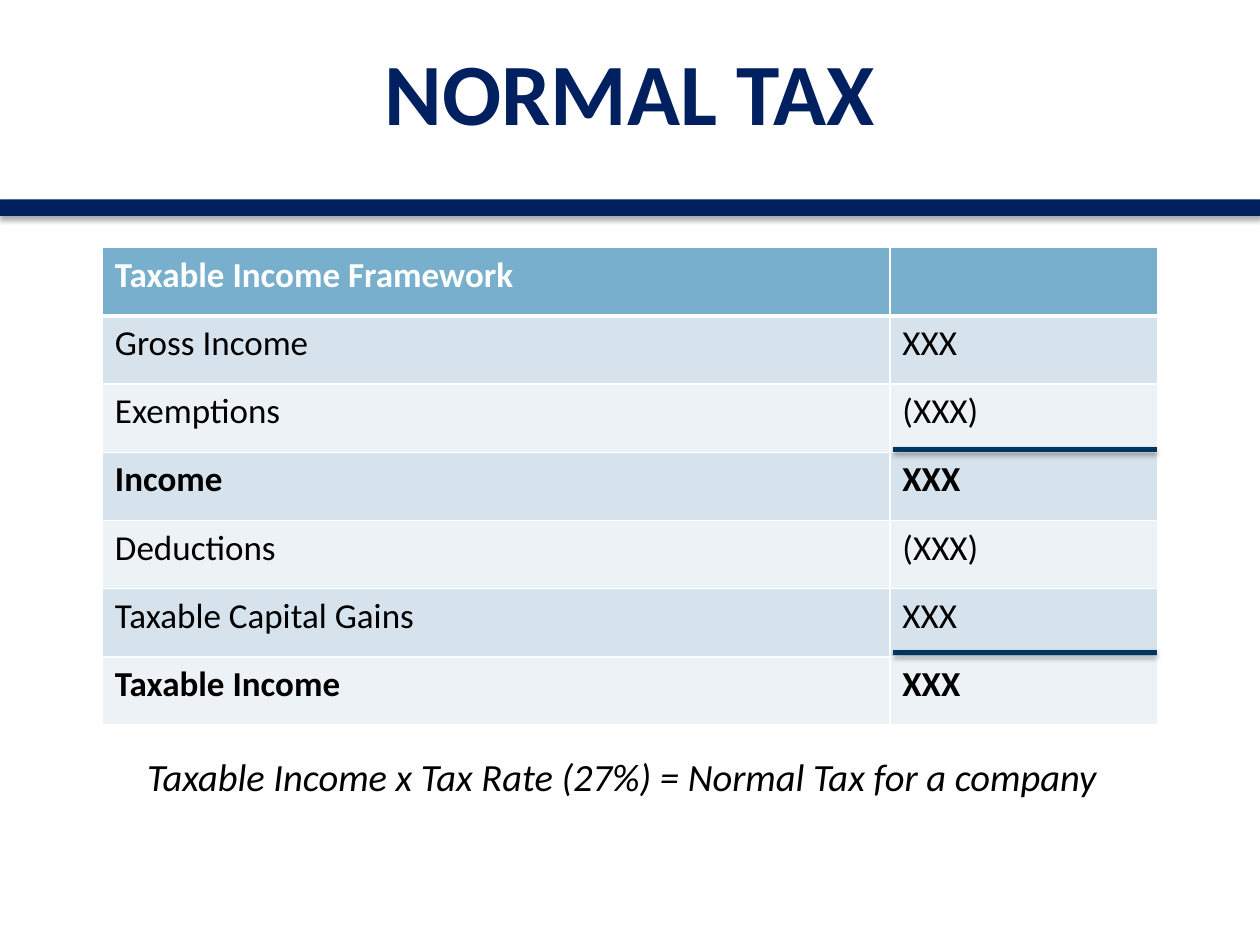
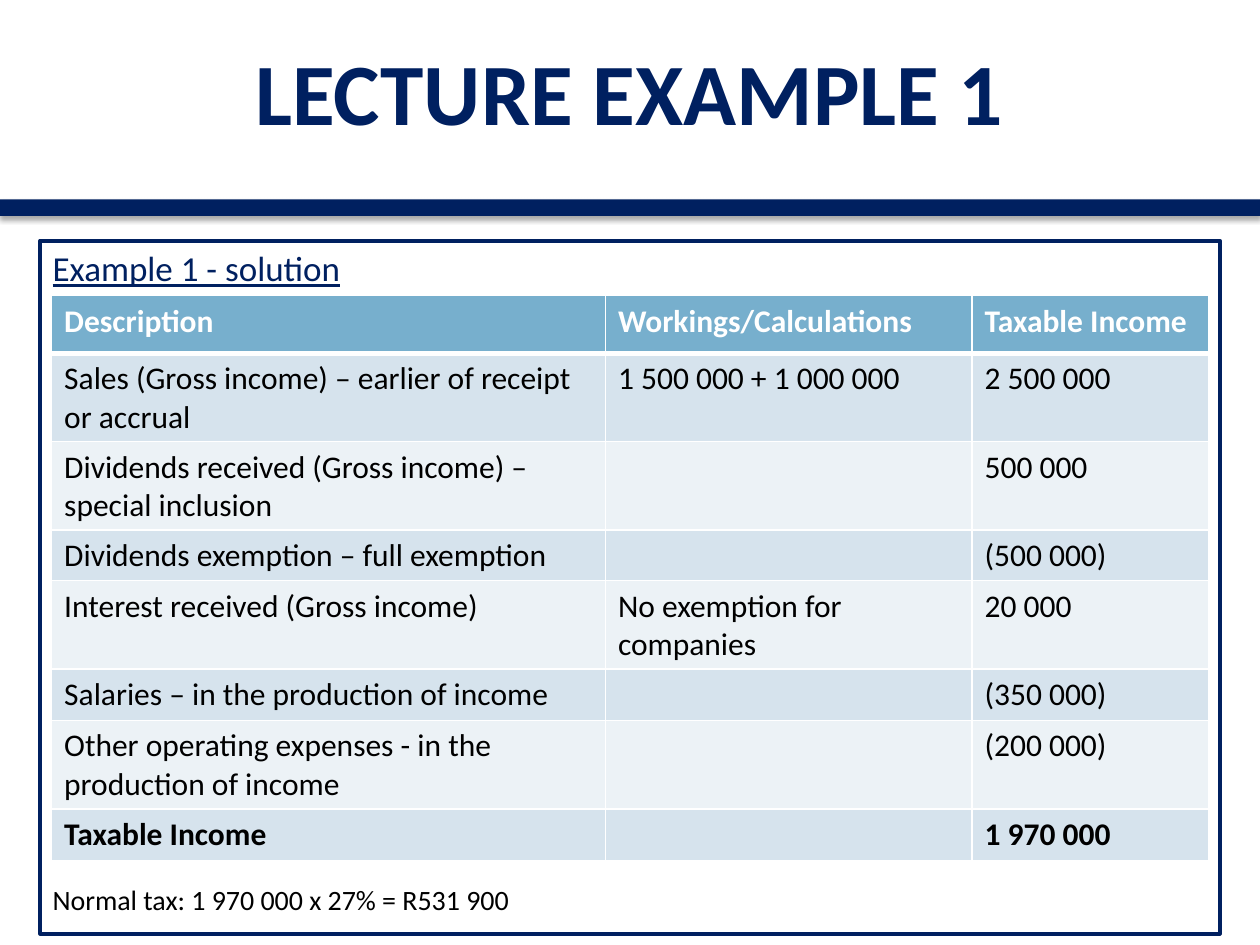
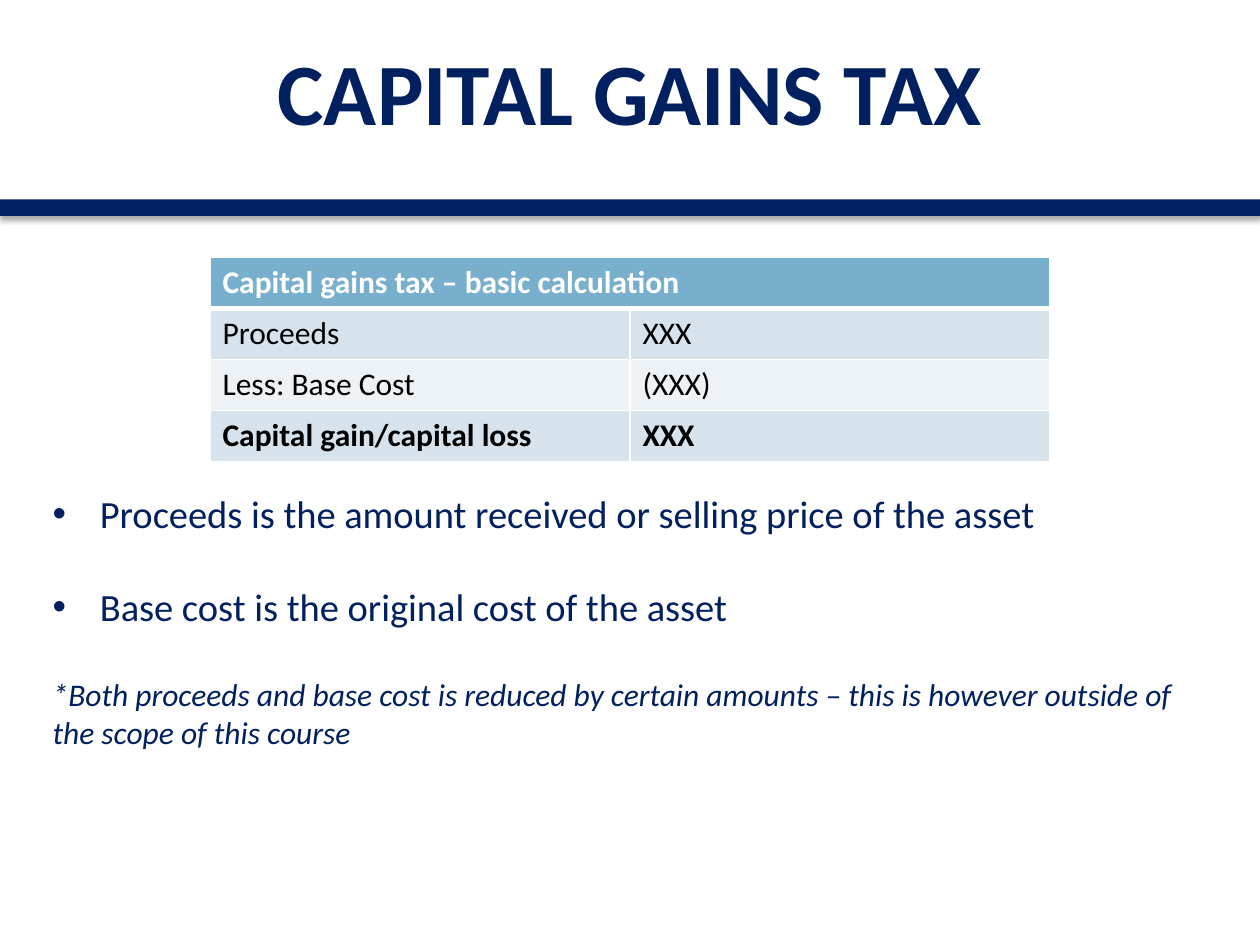
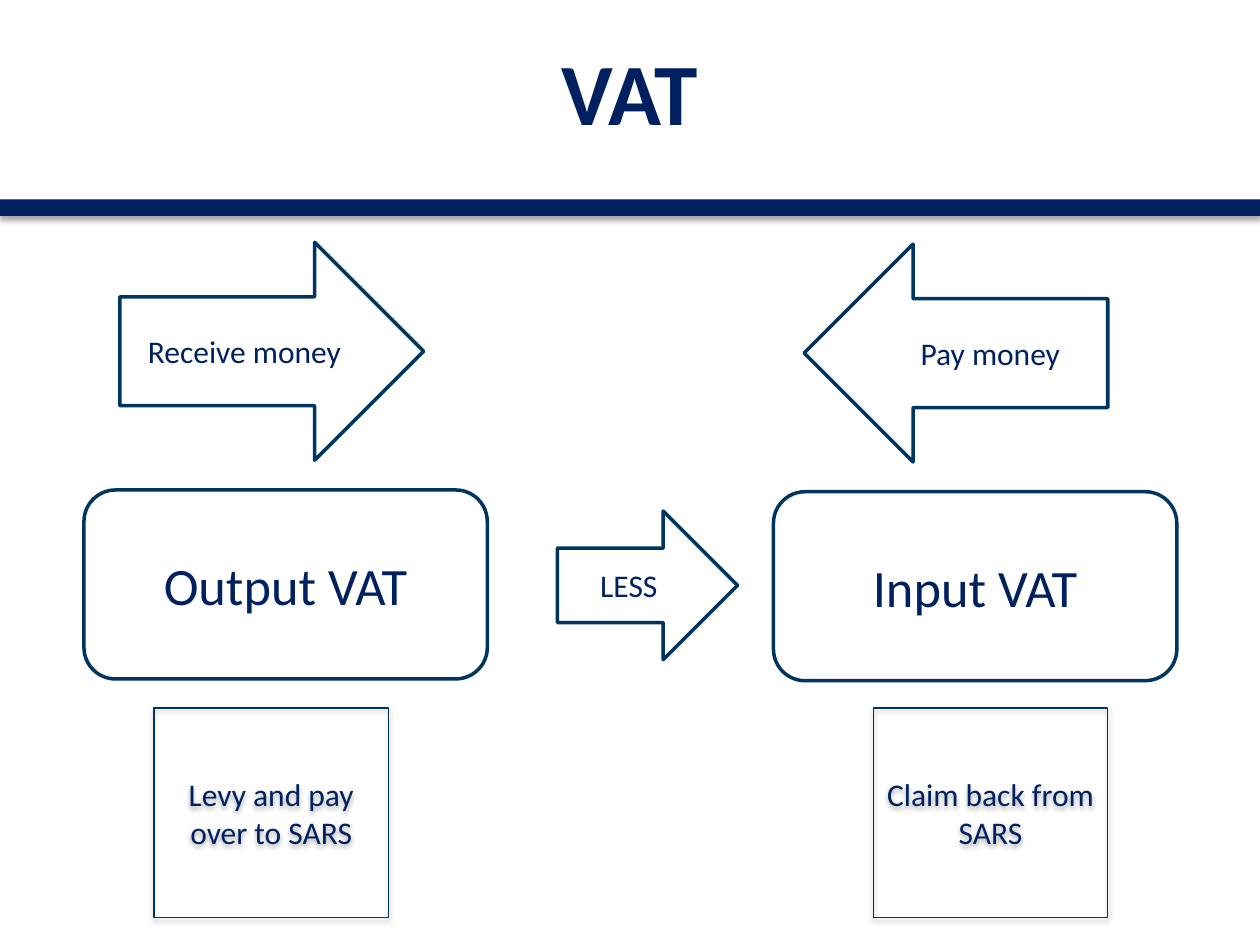
from lxml.etree import SubElement as Sub
from pptx import Presentation
from pptx.dml.color import RGBColor as RGB
from pptx.enum.shapes import MSO_CONNECTOR as LINK, MSO_SHAPE as KIND
from pptx.enum.text import MSO_ANCHOR as ANCHOR, PP_ALIGN as ALIGN
from pptx.oxml.ns import qn
from pptx.util import Pt

FONT = "Calibri"
NAVY, EDGE, WHITE, BLACK = "002060", "003560", "FFFFFF", "000000"
HEAD, BANDS = "77AFCD", ("ECF2F6", "D6E3ED")


def paint(item, color):
    """Give a fill or line fill a solid colour."""
    item.solid()
    item.fore_color.rgb = RGB.from_string(color)


def shade(shape):
    """Put the soft drop shadow of the theme under a shape or line."""
    fx = Sub(shape._element.spPr, qn("a:effectLst"))
    drop = Sub(fx, qn("a:outerShdw"), blurRad=str(Pt(3.1)), dist=str(Pt(1.8)),
               dir="5400000", rotWithShape="0")
    tint = Sub(drop, qn("a:srgbClr"), val=BLACK)
    Sub(tint, qn("a:alpha"), val="35000")


def write(frame, text, size=18, color=NAVY, bold=False, italic=False,
          under=False, align=ALIGN.LEFT, before=0, bullet=False):
    """Add one formatted paragraph to a text frame."""
    para = frame.add_paragraph() if frame.text else frame.paragraphs[0]
    para.alignment = align
    para.space_before = Pt(before)
    run = para.add_run()
    run.text = text
    font = run.font
    font.name, font.size = FONT, Pt(size)
    font.bold, font.italic, font.underline = bold, italic, under
    font.color.rgb = RGB.from_string(color)
    if bullet:
        props = para._p.get_or_add_pPr()
        props.set("marL", str(Pt(27)))
        props.set("indent", str(-Pt(27)))
        Sub(props, qn("a:buFont"), typeface="Arial")
        Sub(props, qn("a:buChar"), char="•")


def label(slide, x, y, w, h, wrap=True, anchor=ANCHOR.TOP):
    """Add an empty text box and return its frame."""
    frame = slide.shapes.add_textbox(Pt(x), Pt(y), Pt(w), Pt(h)).text_frame
    frame.word_wrap = wrap
    frame.vertical_anchor = anchor
    return frame


def block(slide, kind, x, y, w, h, fill=WHITE, line=EDGE, width=2,
          shadow=False, anchor=ANCHOR.MIDDLE):
    """Add a preset shape with its fill, outline and shadow."""
    shape = slide.shapes.add_shape(kind, Pt(x), Pt(y), Pt(w), Pt(h))
    if fill:
        paint(shape.fill, fill)
    else:
        shape.fill.background()
    if line:
        paint(shape.line.fill, line)
        shape.line.width = Pt(width)
    else:
        shape.line.fill.background()
    if shadow:
        shade(shape)
    else:
        shape.shadow.inherit = False
    shape.text_frame.word_wrap = True
    shape.text_frame.vertical_anchor = anchor
    return shape


def rule(slide, x, y, w):
    """Draw a shadowed total line."""
    line = slide.shapes.add_connector(LINK.STRAIGHT, Pt(x), Pt(y), Pt(x + w), Pt(y))
    paint(line.line.fill, EDGE)
    line.line.width = Pt(3)
    shade(line)


def border(cell, top, base):
    """Set white cell borders with the given top and base widths."""
    props = cell._tc.get_or_add_tcPr()
    for side, width in (("L", 1), ("R", 1), ("T", top), ("B", base)):
        line = Sub(props, qn("a:ln" + side), w=str(Pt(width)))
        Sub(Sub(line, qn("a:solidFill")), qn("a:srgbClr"), val=WHITE)


def grid(slide, x, y, cols, rows, data, size, strong):
    """Add a banded table whose strong rows are bold."""
    table = slide.shapes.add_table(len(rows), len(cols), Pt(x), Pt(y),
                                   Pt(sum(cols)), Pt(sum(rows))).table
    table.first_row = table.horz_banding = False
    for col, width in zip(table.columns, cols):
        col.width = Pt(width)
    for r, (height, texts) in enumerate(zip(rows, data)):
        table.rows[r].height = Pt(height)
        for c, text in enumerate(texts):
            cell = table.cell(r, c)
            border(cell, 3 if r == 1 else 1, 1 if r else 3)
            paint(cell.fill, BANDS[r % 2] if r else HEAD)
            if text:
                write(cell.text_frame, text, size=size,
                      color=BLACK if r else WHITE, bold=r == 0 or r in strong)
    return table


def start(deck, title):
    """Add a blank slide with the shared title and band."""
    slide = deck.slides.add_slide(deck.slide_layouts[6])
    block(slide, KIND.RECTANGLE, 0, 114, 720, 9.4, fill=NAVY, line=None, shadow=True)
    frame = label(slide, 36, 6.5, 648, 90, anchor=ANCHOR.MIDDLE)
    write(frame, title, size=50, bold=True, align=ALIGN.CENTER)
    return slide


def normal(deck):
    """Build the normal tax slide."""
    slide = start(deck, "NORMAL TAX")
    data = [("Taxable Income Framework", ""), ("Gross Income", "XXX"),
            ("Exemptions", "(XXX)"), ("Income", "XXX"), ("Deductions", "(XXX)"),
            ("Taxable Capital Gains", "XXX"), ("Taxable Income", "XXX")]
    grid(slide, 58.5, 141.5, (450, 153), [39] * 7, data, 20, (3, 6))
    for y in (257, 373):
        rule(slide, 510.5, y, 150.5)
    frame = label(slide, 77, 427, 567, 55, wrap=False)
    write(frame, "Taxable Income x Tax Rate (27%) = Normal Tax for a company",
          size=22, color=BLACK, italic=True)


def sample(deck):
    """Build the worked example slide."""
    slide = start(deck, "LECTURE EXAMPLE 1")
    frame = block(slide, KIND.RECTANGLE, 23, 137.5, 674, 396, line=NAVY,
                  width=2.25, anchor=ANCHOR.TOP).text_frame
    write(frame, "Example 1 - solution", size=20, under=True)
    write(frame, "Normal tax: 1 970 000 x 27% = R531 900", size=16,
          color=BLACK, before=339)
    data = [("Description", "Workings/Calculations", "Taxable Income"),
            ("Sales (Gross income) – earlier of receipt or accrual",
             "1 500 000 + 1 000 000", "2 500 000"),
            ("Dividends received (Gross income) – special inclusion", "", "500 000"),
            ("Dividends exemption – full exemption", "", "(500 000)"),
            ("Interest received (Gross income)", "No exemption for companies", "20 000"),
            ("Salaries – in the production of income", "", "(350 000)"),
            ("Other operating expenses - in the production of income", "", "(200 000)"),
            ("Taxable Income", "", "1 970 000")]
    rows = (33, 49, 49, 29, 46, 29.5, 46, 29.5)
    grid(slide, 29.5, 169, (316.5, 209.5, 135), rows, data, 18, (7,))


def gains(deck):
    """Build the capital gains tax slide."""
    slide = start(deck, "CAPITAL GAINS TAX")
    data = [("Capital gains tax – basic calculation", ""), ("Proceeds", "XXX"),
            ("Less: Base Cost", "(XXX)"), ("Capital gain/capital loss", "XXX")]
    table = grid(slide, 120, 147, (240, 240), [29.2] * 4, data, 18, (3,))
    table.cell(0, 0).merge(table.cell(0, 1))
    frame = label(slide, 23, 276.5, 661, 206)
    write(frame, "Proceeds is the amount received or selling price of the asset",
          size=22, bullet=True)
    write(frame, "Base cost is the original cost of the asset", size=22,
          before=26.5, bullet=True)
    write(frame, "*Both proceeds and base cost is reduced by certain amounts – "
          "this is however outside of the scope of this course",
          italic=True, before=26.5)


def vat(deck):
    """Build the VAT flow slide."""
    slide = start(deck, "VAT")
    for x, y, text in ((442, 281, "Input VAT"), (48, 280, "Output VAT")):
        box = block(slide, KIND.ROUNDED_RECTANGLE, x, y, 230.5, 108)
        write(box.text_frame, text, size=30, align=ALIGN.CENTER)
    for x, text in ((499, "Claim back from SARS"), (88, "Levy and pay over to SARS")):
        box = block(slide, KIND.RECTANGLE, x, 404.5, 134, 120, fill=None,
                    width=0.75, shadow=True)
        write(box.text_frame, text, align=ALIGN.CENTER)
    for x, y, w, h, text in ((68.5, 138.5, 173.5, 124.5, "Receive money"),
                             (318.5, 292, 103, 85, "LESS")):
        arrow = block(slide, KIND.RIGHT_ARROW, x, y, w, h)
        write(arrow.text_frame, text, align=ALIGN.CENTER)
    block(slide, KIND.RIGHT_ARROW, 459.5, 139.5, 173.5, 124.5).rotation = 180
    write(label(slide, 519, 187.5, 114, 29), "Pay money")


def main():
    """Build and save the deck."""
    deck = Presentation()
    deck.slide_width, deck.slide_height = Pt(720), Pt(540)
    for build in (normal, sample, gains, vat):
        build(deck)
    deck.save("out.pptx")


if __name__ == "__main__":
    main()
